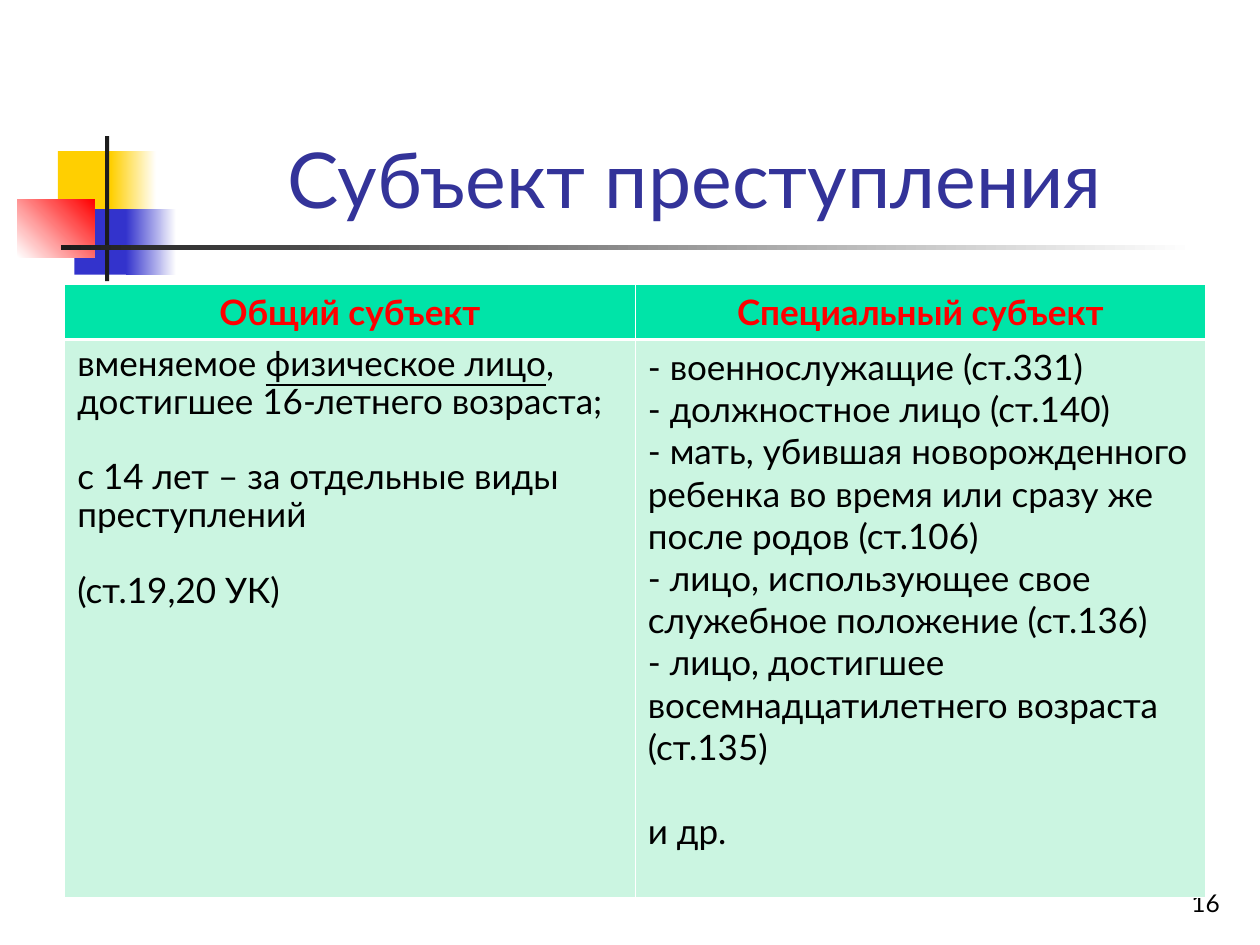
from pptx import Presentation
from pptx.dml.color import RGBColor
from pptx.enum.shapes import MSO_SHAPE
from pptx.enum.text import MSO_ANCHOR, MSO_AUTO_SIZE, PP_ALIGN
from pptx.oxml.ns import qn
from pptx.util import Pt
from lxml import etree

RECT = MSO_SHAPE.RECTANGLE
BOTTOM = MSO_ANCHOR.BOTTOM
FIXED = MSO_AUTO_SIZE.NONE
LEFT, CENTER, RIGHT = PP_ALIGN.LEFT, PP_ALIGN.CENTER, PP_ALIGN.RIGHT

WHITE = RGBColor(0xFF, 0xFF, 0xFF)
BLACK = RGBColor(0, 0, 0)
DARK = RGBColor(0x1C, 0x1C, 0x1C)
GOLD = RGBColor(0xFF, 0xCF, 0x01)
BLUE = RGBColor(0x33, 0x33, 0xCC)
NAVY = RGBColor(0x33, 0x33, 0x99)
RED = RGBColor(0xFF, 0, 0)
GREEN = RGBColor(0, 0xE4, 0xA8)
MINT = RGBColor(0xCB, 0xF5, 0xE1)

THIN, THICK = 0.45, 1.47


def write(frame, text, size=20, color=BLACK, bold=False, align=LEFT,
          line=1.0, gap=0, mark=""):
    """Add a paragraph to the frame; the words in mark are underlined."""
    para = frame.paragraphs[-1]
    if para.runs:
        para = frame.add_paragraph()
    para.alignment = align
    para.line_spacing = line
    para.space_before = Pt(gap)
    parts = text.partition(mark) if mark else (text,)
    for part in parts:
        run = para.add_run()
        run.text = part
        font = run.font
        font.name, font.size, font.bold = "Lato", Pt(size), bold
        font.color.rgb = color
        font.underline = bool(mark) and part == mark


def edge(cell, side, width):
    props = cell._tc.get_or_add_tcPr()
    line = etree.SubElement(props, qn(f"a:ln{side}"), w=str(Pt(width)))
    fill = etree.SubElement(line, qn("a:solidFill"))
    etree.SubElement(fill, qn("a:srgbClr"), val=str(WHITE))


class Deck:
    def __init__(self, wide, high):
        self.prs = Presentation()
        self.prs.slide_width, self.prs.slide_height = Pt(wide), Pt(high)
        self.slide = self.prs.slides.add_slide(self.prs.slide_layouts[5])

    def block(self, x, y, w, h, color, fade=None, angle=0):
        """Draw a rectangle, plain or fading from color to fade."""
        shape = self.slide.shapes.add_shape(RECT, Pt(x), Pt(y), Pt(w), Pt(h))
        shape.shadow.inherit = False
        shape.line.fill.background()
        if fade is None:
            shape.fill.solid()
            shape.fill.fore_color.rgb = color
            return
        shape.fill.gradient()
        shape.fill.gradient_angle = angle
        for stop, tone in zip(shape.fill.gradient_stops, (color, fade)):
            stop.color.rgb = tone

    def title(self, x, y, w, h, text):
        box = self.slide.shapes.title
        box.left, box.top, box.width, box.height = Pt(x), Pt(y), Pt(w), Pt(h)
        self.fit(box.text_frame)
        write(box.text_frame, text, size=44, color=NAVY, align=CENTER)

    def label(self, x, y, w, h, text, **style):
        box = self.slide.shapes.add_textbox(Pt(x), Pt(y), Pt(w), Pt(h))
        self.fit(box.text_frame)
        write(box.text_frame, text, **style)

    def fit(self, frame):
        frame.word_wrap = True
        frame.auto_size = FIXED
        frame.vertical_anchor = BOTTOM

    def table(self, x, y, width, rows, heads, bodies):
        """Fill a two-row table; each body is a list of (text, style)."""
        count = len(heads)
        grid = self.slide.shapes.add_table(
            2, count, Pt(x), Pt(y), Pt(width * count), Pt(sum(rows))).table
        for row, high in zip(grid.rows, rows):
            row.height = Pt(high)
        for col, (head, body) in enumerate(zip(heads, bodies)):
            grid.columns[col].width = Pt(width)
            top, low = grid.cell(0, col), grid.cell(1, col)
            self.paint(top, GREEN, THIN, THICK)
            self.paint(low, MINT, THICK, THIN)
            write(top.text_frame, head, color=RED, bold=True, align=CENTER)
            for text, style in body:
                write(low.text_frame, text, **style)

    def paint(self, cell, color, top, low):
        for side, width in zip("LRTB", (THIN, THIN, top, low)):
            edge(cell, side, width)
        cell.fill.solid()
        cell.fill.fore_color.rgb = color


def main():
    deck = Deck(720, 540)

    deck.block(33.1, 86.4, 34.6, 37.4, GOLD)
    deck.block(63.4, 86.4, 25.9, 37.4, GOLD, WHITE)
    deck.block(42.5, 119.5, 33.1, 37.4, BLUE)
    deck.block(72, 119.5, 28.8, 37.4, BLUE, WHITE)
    deck.block(10, 113.8, 44, 33.1, WHITE, RED, angle=45)
    deck.block(60, 77.8, 2.4, 82.8, DARK)
    deck.block(34.8, 140.2, 648, 2.4, DARK, WHITE)

    deck.title(90.7, 16.6, 613.4, 115.2, "Субъект преступления")
    deck.label(554.4, 491.8, 149.8, 36, "16", size=14, align=RIGHT)

    tight = {"line": 0.9}
    apart = {"line": 0.9, "gap": 21.6}
    common = [
        ("вменяемое физическое лицо, достигшее 16-летнего возраста;",
         {**tight, "mark": "физическое лицо"}),
        ("с 14 лет – за отдельные виды преступлений", apart),
        ("(ст.19,20 УК)", apart),
    ]
    special = [(text, {}) for text in (
        "- военнослужащие (ст.331)",
        "- должностное лицо (ст.140)",
        "- мать, убившая новорожденного ребенка во время или сразу же "
        "после родов (ст.106)",
        "- лицо, использующее свое служебное положение (ст.136)",
        "- лицо, достигшее восемнадцатилетнего возраста (ст.135)",
    )] + [("и др.", {"gap": 24})]
    deck.table(37, 162.6, 326, (31, 319),
               ("Общий субъект", "Специальный субъект"), (common, special))

    deck.prs.save("out.pptx")


if __name__ == "__main__":
    main()
